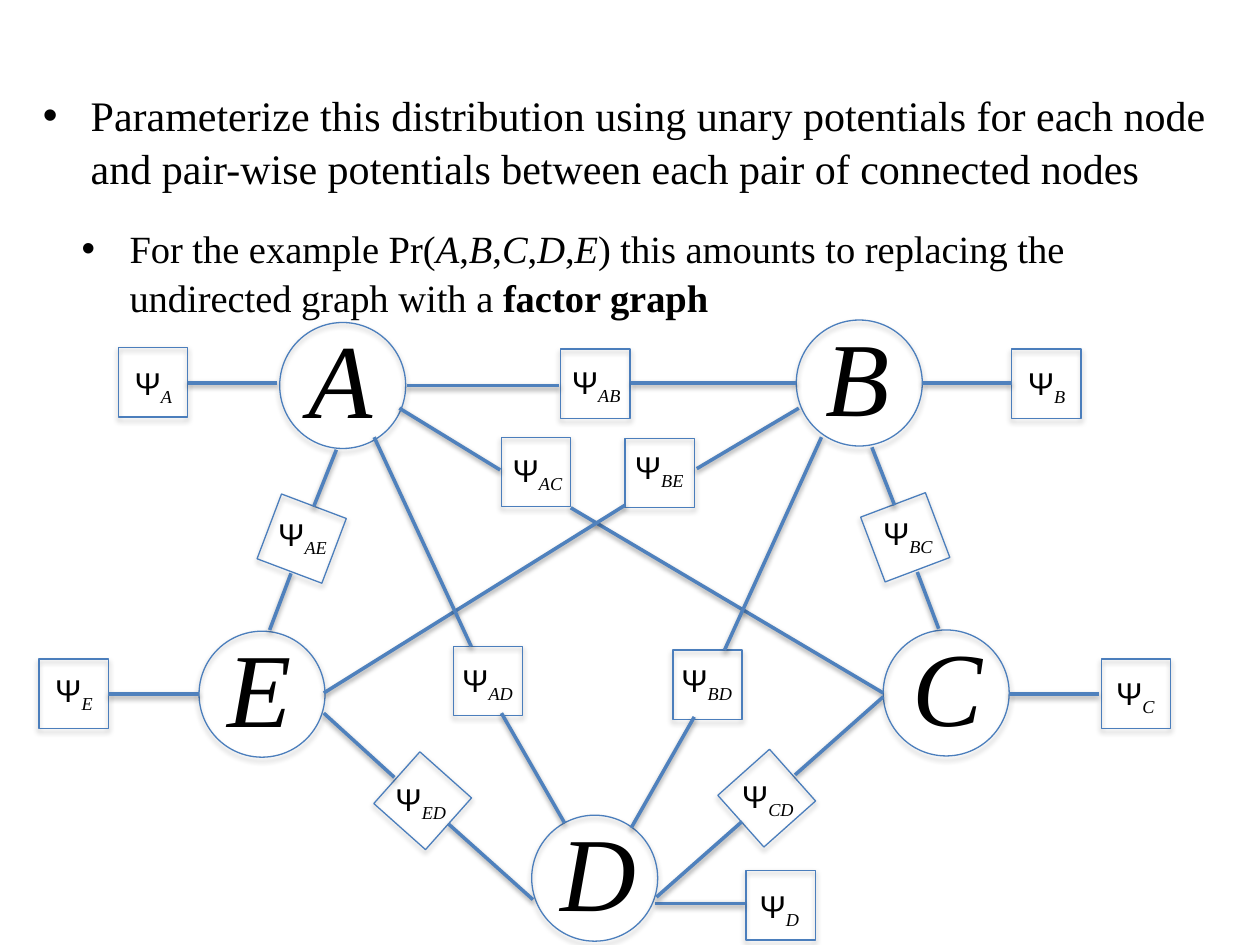
from lxml import etree
from pptx import Presentation
from pptx.dml import color
from pptx.enum import shapes, text
from pptx.oxml import ns
from pptx.util import Inches, Pt

SERIF = "Times New Roman"
SANS = "Arial"
NODE_SIZE = 1
FACTOR_SIZE = 0.55

# name, left, top, label width
NODES = [
    ("A", 2.22, 2.56, 0.98),
    ("B", 6.32, 2.54, 1),
    ("E", 1.58, 5.01, 1),
    ("C", 7.01, 5, 1.05),
    ("D", 4.22, 6.47, 1.09),
]

# subscript, square left and top, rotation, label left, top and width, edges
FACTORS = [
    ("A", 0.94, 2.76, 0, (0.97, 2.84, 0.54), [(1.49, 3.04, 2.2, 3.04)]),
    ("B", 8.03, 2.77, 0, (8.06, 2.84, 0.54), [(7.32, 3.04, 8.03, 3.04)]),
    ("C", 8.74, 5.23, 0, (8.76, 5.3, 0.55), [(8.01, 5.51, 8.72, 5.51)]),
    ("D", 5.92, 6.91, 0, (5.93, 6.99, 0.56), [(5.2, 7.17, 5.91, 7.17)]),
    ("E", 0.31, 5.23, 0, (0.34, 5.28, 0.54), [(0.86, 5.51, 1.58, 5.51)]),
    ("AB", 4.45, 2.77, 0, (4.44, 2.83, 0.65),
     [(3.23, 3.06, 4.44, 3.06), (5.01, 3.04, 6.32, 3.04)]),
    ("AC", 3.98, 3.47, 0, (3.97, 3.53, 0.65),
     [(3.17, 3.24, 3.97, 3.73), (4.53, 4.03, 7.01, 5.5)]),
    ("BE", 4.96, 3.48, 0, (4.94, 3.51, 0.65),
     [(6.34, 3.24, 5.53, 3.72), (4.96, 4.01, 2.57, 5.5)]),
    ("AD", 3.6, 5.13, 0, (3.57, 5.2, 0.66),
     [(2.97, 3.47, 3.74, 5.13), (3.98, 5.66, 4.48, 6.53)]),
    ("BD", 5.34, 5.16, 0, (5.31, 5.2, 0.66),
     [(6.52, 3.47, 5.75, 5.16), (5.51, 5.69, 5.01, 6.57)]),
    ("BC", 6.91, 3.99, 69.3, (6.91, 4.03, 0.65),
     [(7.45, 4.99, 7.28, 4.54), (7.1, 4.01, 6.92, 3.55)]),
    ("AE", 2.12, 4, 290.7, (2.11, 4.04, 0.65),
     [(2.14, 5, 2.31, 4.55), (2.49, 4.02, 2.67, 3.57)]),
    ("ED", 3.08, 6.08, 41.7, (3.04, 6.14, 0.66),
     [(2.57, 5.66, 3.13, 6.17), (3.56, 6.54, 4.23, 7.14)]),
    ("CD", 5.81, 6.06, 318.3, (5.79, 6.12, 0.67),
     [(7.01, 5.53, 6.31, 6.15), (5.89, 6.52, 5.21, 7.12)]),
]


def rgb(value):
    return color.RGBColor.from_string(value)


def add_shadow(sp, distance, opacity):
    spPr = sp.element.spPr
    effects = spPr.find(ns.qn("a:effectLst"))
    if effects is None:
        effects = etree.SubElement(spPr, ns.qn("a:effectLst"))
    shadow = etree.SubElement(effects, ns.qn("a:outerShdw"), blurRad=str(Pt(3.1)),
                              dist=str(Pt(distance)), dir="5400000", rotWithShape="0")
    black = etree.SubElement(shadow, ns.qn("a:srgbClr"), val="000000")
    etree.SubElement(black, ns.qn("a:alpha"), val=str(opacity * 1000))


def add_outline(slide, kind, left, top, size, rotation=0):
    sp = slide.shapes.add_shape(kind, Inches(left), Inches(top), Inches(size), Inches(size))
    sp.rotation = rotation
    sp.fill.background()
    sp.line.color.rgb = rgb("4B7EBC")
    sp.line.width = Pt(0.75)
    sp.shadow.inherit = False
    add_shadow(sp, 1.8, 35)


def add_edge(slide, x1, y1, x2, y2):
    line = slide.shapes.add_connector(shapes.MSO_CONNECTOR.STRAIGHT,
                                      Inches(x1), Inches(y1), Inches(x2), Inches(y2))
    line.line.color.rgb = rgb("4F81BD")
    line.line.width = Pt(2)
    add_shadow(line, 1.6, 38)


def add_run(p, words, size, font=SERIF, italic=False, bold=False):
    r = p.add_run()
    r.text = words
    r.font.size = Pt(size)
    r.font.name = font
    r.font.italic = italic
    r.font.bold = bold
    r.font.color.rgb = rgb("000000")
    return r


def add_label(slide, left, top, width, height):
    box = slide.shapes.add_textbox(Inches(left), Inches(top), Inches(width), Inches(height))
    tf = box.text_frame
    tf.word_wrap = False
    tf.auto_size = text.MSO_AUTO_SIZE.SHAPE_TO_FIT_TEXT
    return tf.paragraphs[0]


def add_node(slide, name, left, top, label_width):
    add_outline(slide, shapes.MSO_SHAPE.OVAL, left, top, NODE_SIZE)
    p = add_label(slide, left + 0.13, top - 0.12, label_width, 1.11)
    add_run(p, name, 60, italic=True)


def add_factor(slide, subscript, left, top, rotation, label, edges):
    add_outline(slide, shapes.MSO_SHAPE.RECTANGLE, left, top, FACTOR_SIZE, rotation)
    for edge in edges:
        add_edge(slide, *edge)
    p = add_label(slide, *label, 0.4)
    add_run(p, "Ψ", 18, SANS)
    r = add_run(p, subscript, 18, italic=True)
    r.font._element.set("baseline", "-25000")


def start_bullet(sp, left, top, width, height):
    sp.left, sp.top = Inches(left), Inches(top)
    sp.width, sp.height = Inches(width), Inches(height)
    tf = sp.text_frame
    tf.word_wrap = True
    tf.auto_size = text.MSO_AUTO_SIZE.NONE
    p = tf.paragraphs[0]
    pPr = p._p.get_or_add_pPr()
    pPr.set("marL", str(Inches(0.38)))
    pPr.set("indent", str(Inches(-0.38)))
    etree.SubElement(pPr, ns.qn("a:buFont"), typeface=SANS)
    etree.SubElement(pPr, ns.qn("a:buChar"), char="•")
    p.space_before = Pt(0)
    p.line_spacing = 1.05
    return p


def add_bullets(slide):
    p = start_bullet(slide.placeholders[1], 0.24, 0.64, 9.62, 1.28)
    add_run(p, "Parameterize this distribution using unary potentials for each node "
               "and pair-wise potentials between each pair of connected nodes", 24)

    box = slide.shapes.add_textbox(0, 0, 0, 0)
    p = start_bullet(box, 0.55, 1.72, 9.2, 0.89)
    add_run(p, "For the example Pr(", 22)
    for i, name in enumerate("ABCDE"):
        if i:
            add_run(p, ",", 22)
        add_run(p, name, 22, italic=True)
    add_run(p, ") this amounts to replacing the undirected graph with a ", 22)
    add_run(p, "factor graph", 22, bold=True)


def main():
    prs = Presentation()
    prs.slide_width, prs.slide_height = Inches(10), Inches(7.5)
    slide = prs.slides.add_slide(prs.slide_layouts[1])
    title = slide.shapes.title.element
    title.getparent().remove(title)
    add_bullets(slide)
    for node in NODES:
        add_node(slide, *node)
    for factor in FACTORS:
        add_factor(slide, *factor)
    prs.save("out.pptx")


if __name__ == "__main__":
    main()
